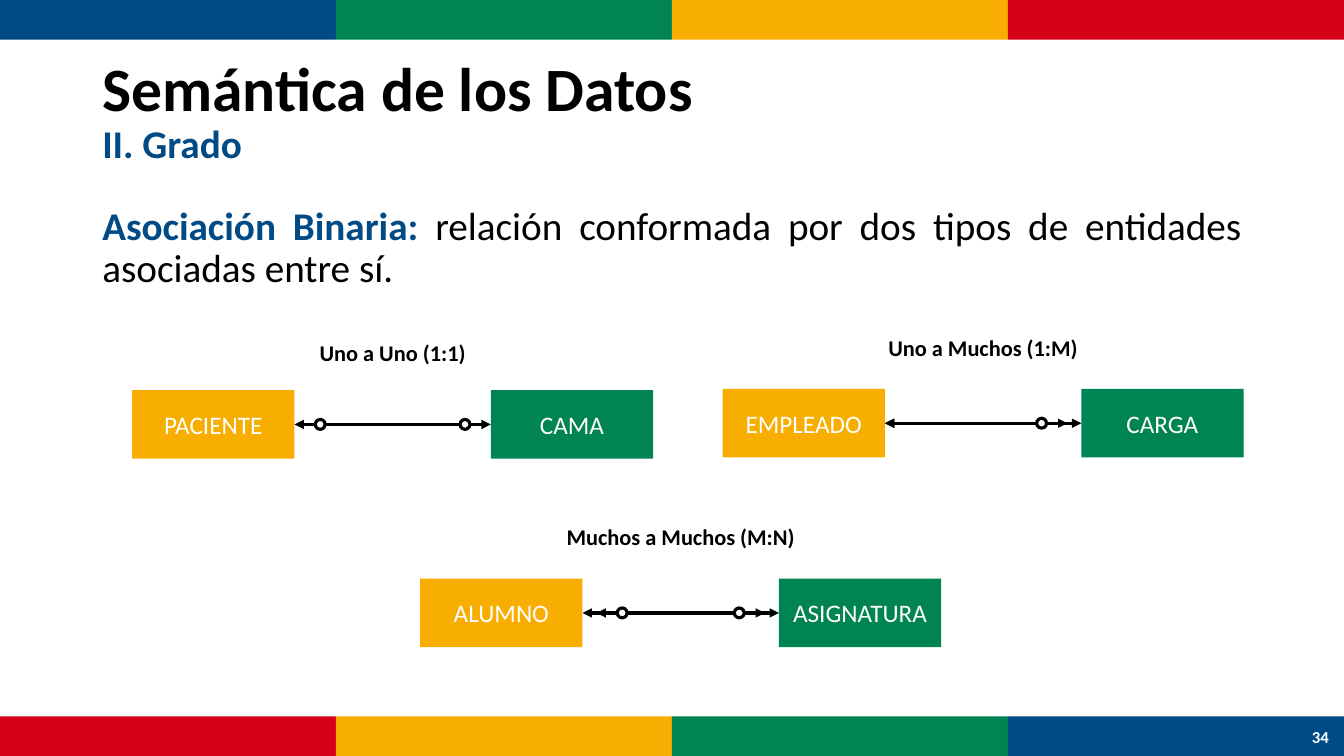
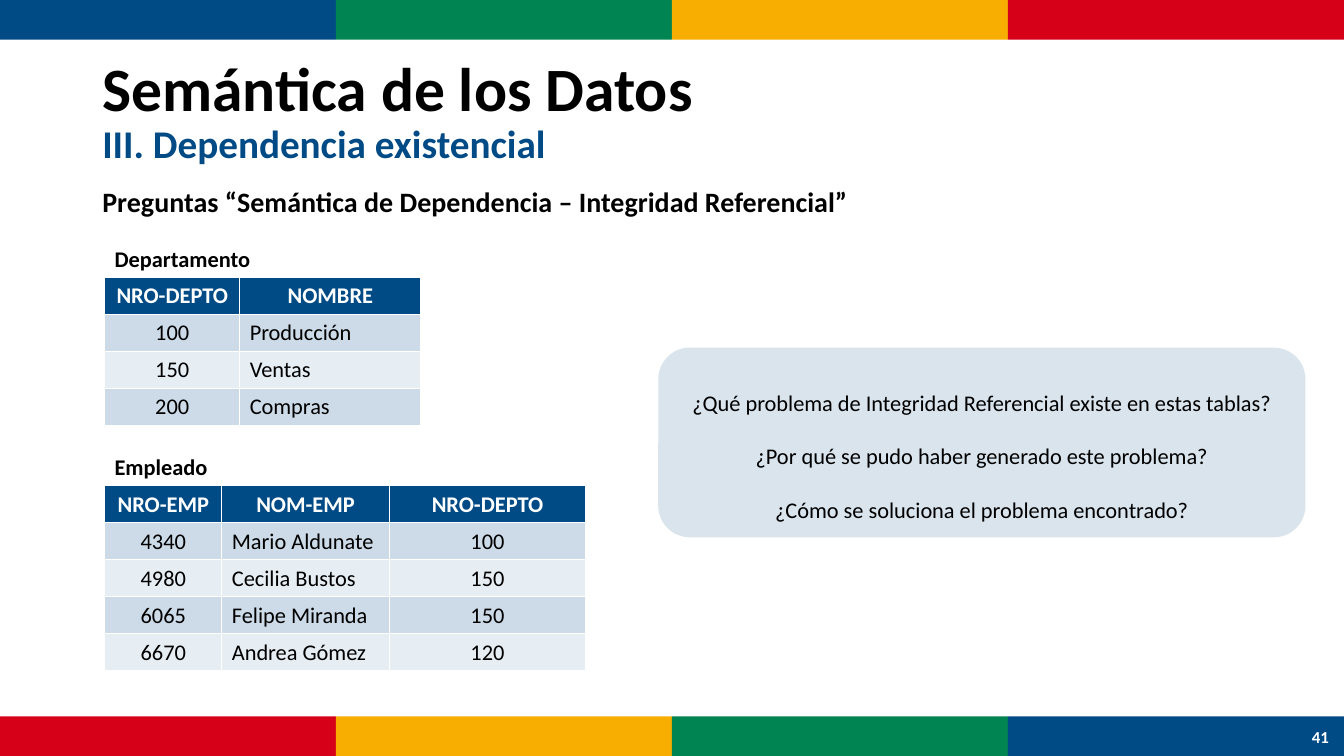
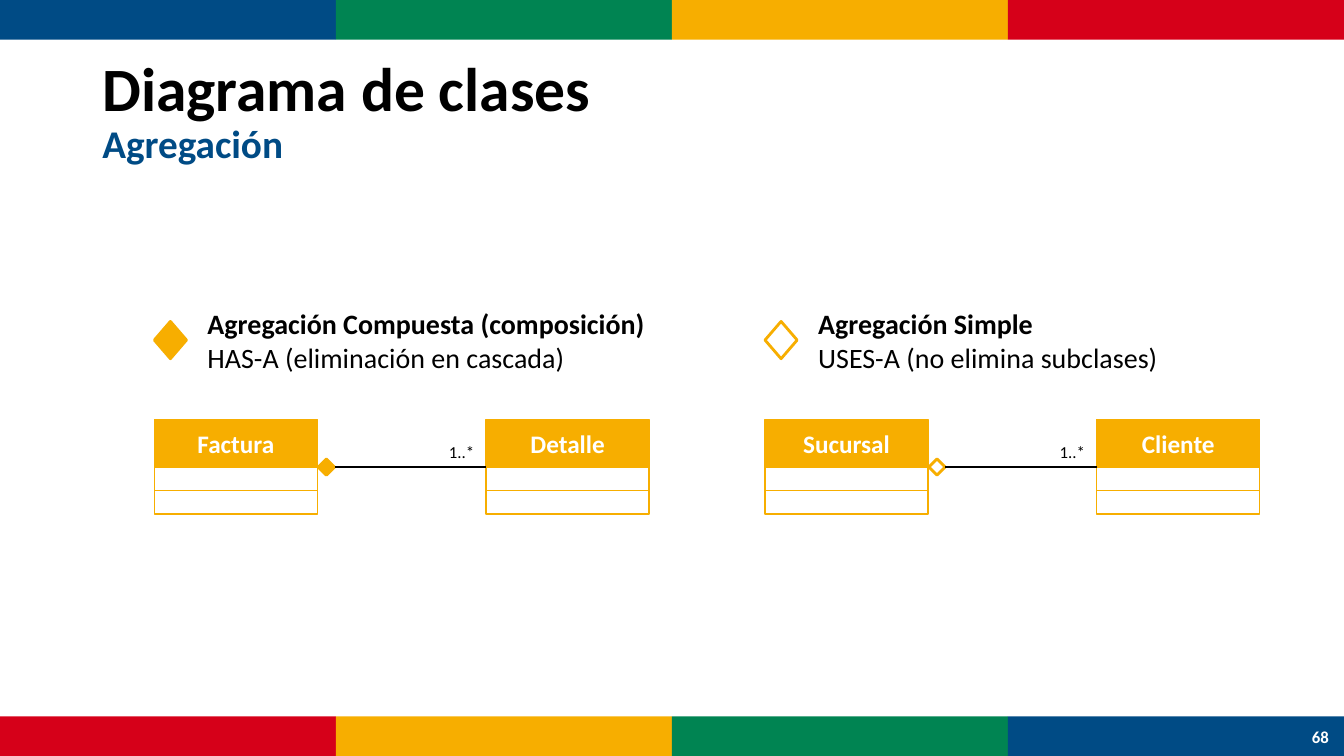
import lxml.etree
import pptx
import pptx.dml.color
import pptx.enum.shapes
import pptx.enum.text
import pptx.oxml.ns
import pptx.util

HUES = {
    "blue": "004B85", "green": "008452", "gold": "F7AE00", "red": "D60019",
    "black": "000000", "white": "FFFFFF",
    "dark": "CCDBE7", "light": "E6EDF3", "panel": "D9E4ED",
}
STYLES = {
    "title": (44, True, "black"),
    "sub": (28, True, "blue"),
    "term": (28, True, "blue"),
    "body": (28, False, "black"),
    "page": (12, True, "white"),
    "head": (20, True, "black"),
    "note": (20, False, "black"),
    "label": (16, True, "black"),
    "cell": (16, False, "black"),
    "top": (16, True, "white"),
    "box": (18, False, "white"),
    "class": (18, True, "white"),
    "count": (12, False, "black"),
}
WIDE, HIGH, BAND = 33.87, 19.05, 1.0
TOP = ["blue", "green", "gold", "red"]

SLIDES = [
    ("Semántica de los Datos", "II. Grado", "34"),
    ("Semántica de los Datos", "III. Dependencia existencial", "41"),
    ("Diagrama de clases", "Agregación", "68"),
]
BINARY = [
    ("Asociación Binaria: ", "term"),
    ("relación conformada por dos tipos de entidades asociadas entre sí.", "body"),
]
PAIRS = [
    {"label": "Uno a Uno (1:1)", "names": ("PACIENTE", "CAMA"), "at": (3.33, 9.83),
     "rise": 1.4, "many": (False, False), "rings": (True, True)},
    {"label": "Uno a Muchos (1:M)", "names": ("EMPLEADO", "CARGA"), "at": (18.21, 9.8),
     "rise": 1.5, "many": (False, True), "rings": (False, True)},
    {"label": "Muchos a Muchos (M:N)", "names": ("ALUMNO", "ASIGNATURA"), "at": (10.59, 14.58),
     "rise": 1.52, "many": (True, True), "rings": (True, True)},
]
PROMPT = "Preguntas “Semántica de Dependencia – Integridad Referencial”"
TABLES = [
    {"name": "Departamento", "y": 6.99, "cols": [3.4, 4.57], "rows": [
        ("NRO-DEPTO", "NOMBRE"),
        ("100", "Producción"),
        ("150", "Ventas"),
        ("200", "Compras")]},
    {"name": "Empleado", "y": 12.24, "cols": [2.95, 4.22, 4.95], "rows": [
        ("NRO-EMP", "NOM-EMP", "NRO-DEPTO"),
        ("4340", "Mario Aldunate", "100"),
        ("4980", "Cecilia Bustos", "150"),
        ("6065", "Felipe Miranda", "150"),
        ("6670", "Andrea Gómez", "120")]},
]
ASKS = [
    "¿Qué problema de Integridad Referencial existe en estas tablas?",
    "¿Por qué se pudo haber generado este problema?",
    "¿Cómo se soluciona el problema encontrado?",
]
MODELS = [
    {"x": 3.89, "fill": "gold", "names": ("Factura", "Detalle"),
     "text": ("Agregación Compuesta (composición)", "HAS-A (eliminación en cascada)")},
    {"x": 19.28, "fill": "white", "names": ("Sucursal", "Cliente"),
     "text": ("Agregación Simple", "USES-A (no elimina subclases)")},
]

KIND = pptx.enum.shapes.MSO_SHAPE
ALIGN = pptx.enum.text.PP_ALIGN
ANCHOR = pptx.enum.text.MSO_ANCHOR


def hue(name):
    return pptx.dml.color.RGBColor.from_string(HUES[name])


def cms(*vals):
    return [pptx.util.Cm(val) for val in vals]


def write(frame, paras, **form):
    for num, runs in enumerate(paras):
        para = frame.paragraphs[0] if num == 0 else frame.add_paragraph()
        for key, val in form.items():
            setattr(para, key, val)
        for text, style in runs:
            run = para.add_run()
            run.text = text
            size, bold, tint = STYLES[style]
            font = {"name": "Calibri", "size": pptx.util.Pt(size), "bold": bold}
            for key, val in font.items():
                setattr(run.font, key, val)
            run.font.color.rgb = hue(tint)


def add_text(slide, at, paras, anchor=ANCHOR.TOP, **form):
    frame = slide.shapes.add_textbox(*cms(*at)).text_frame
    frame.word_wrap = True
    frame.vertical_anchor = anchor
    write(frame, paras, **form)


def add_form(slide, kind, at, fill=None, line=None, width=1, paras=(), **form):
    shape = slide.shapes.add_shape(kind, *cms(*at))
    shape.shadow.inherit = False
    if fill:
        shape.fill.solid()
        shape.fill.fore_color.rgb = hue(fill)
    else:
        shape.fill.background()
    if line:
        shape.line.color.rgb = hue(line)
        shape.line.width = pptx.util.Pt(width)
    else:
        shape.line.fill.background()
    shape.text_frame.vertical_anchor = ANCHOR.MIDDLE
    write(shape.text_frame, paras, alignment=ALIGN.CENTER, **form)
    return shape


def add_line(slide, start, end, width, heads=False):
    line = slide.shapes.add_connector(
        pptx.enum.shapes.MSO_CONNECTOR.STRAIGHT, *cms(*start, *end))
    line.line.color.rgb = hue("black")
    line.line.width = pptx.util.Pt(width)
    if heads:
        for tag in ("a:headEnd", "a:tailEnd"):
            lxml.etree.SubElement(
                line.line._get_or_add_ln(), pptx.oxml.ns.qn(tag), type="triangle")
    lxml.etree.SubElement(line._element.spPr, pptx.oxml.ns.qn("a:effectLst"))
    return line


def add_base(deck, title, sub, page):
    slide = deck.slides.add_slide(deck.slide_layouts[6])
    step = WIDE / len(TOP)
    for y, tints in ((0, TOP), (HIGH - BAND, TOP[::-1])):
        for num, tint in enumerate(tints):
            add_form(slide, KIND.RECTANGLE, (num * step, y, step, BAND), tint)
    add_text(slide, (2.33, 1, 29.21, 3.68), [[(title, "title")], [(sub, "sub")]],
             ANCHOR.MIDDLE, line_spacing=0.9)
    add_text(slide, (32.69, 18.06, 1.17, 1), [[(page, "page")]],
             ANCHOR.MIDDLE, alignment=ALIGN.CENTER)
    return slide


def add_pair(slide, pair):
    x, y = pair["at"]
    wide, high, step, ring = 4.09, 1.73, 9.04, 0.25
    mid = y + high / 2
    left, right = x + wide, x + step
    add_text(slide, (x, y - pair["rise"], step + wide, 0.94),
             [[(pair["label"], "label")]], alignment=ALIGN.CENTER)
    boxes = [
        add_form(slide, KIND.RECTANGLE, (x + num * step, y, wide, high), tint,
                 paras=[[(name, "box")]])
        for num, (name, tint) in enumerate(zip(pair["names"], ("gold", "green")))]
    link = add_line(slide, (left, mid), (right, mid), 2.25, True)
    link.begin_connect(boxes[0], 3)
    link.end_connect(boxes[1], 1)
    if any(pair["many"]):
        near, far = [0.35 * many for many in pair["many"]]
        add_line(slide, (left + near, mid), (right - far, mid), 2.25, True)
    for edge, sign, many, shown in zip((left, right), (1, -1), pair["many"], pair["rings"]):
        if shown:
            spot = edge + sign * (1.0 if many else 0.65)
            add_form(slide, KIND.OVAL, (spot - ring / 2, mid - ring / 2, ring, ring),
                     "white", "black", 2.25)


def add_grid(slide, data):
    x, y, high = 2.64, data["y"], 0.93
    rows, cols = data["rows"], data["cols"]
    add_text(slide, (x, y - 0.94, 7.97, 0.94), [[(data["name"], "label")]])
    grid = slide.shapes.add_table(
        len(rows), len(cols), *cms(x, y, sum(cols), high * len(rows))).table
    for col, wide in zip(grid.columns, cols):
        col.width = pptx.util.Cm(wide)
    for r, row in enumerate(rows):
        for c, text in enumerate(row):
            cell = grid.cell(r, c)
            cell.vertical_anchor = ANCHOR.MIDDLE
            cell.fill.solid()
            cell.fill.fore_color.rgb = hue("blue" if r == 0 else ("light", "dark")[r % 2])
            side = ALIGN.LEFT if r and c == 1 else ALIGN.CENTER
            write(cell.text_frame, [[(text, "cell" if r else "top")]], alignment=side)


def add_model(slide, model):
    x, y, wide, high, row, step, gem = model["x"], 10.57, 4.11, 1.2, 0.59, 8.36, 0.41
    add_form(slide, KIND.DIAMOND, (x, 8.1, 0.81, 0.94), model["fill"], "gold", 2)
    head, note = model["text"]
    add_text(slide, (x + 1.09, 7.37, 12.07, 2.41), [[(head, "head")], [(note, "note")]],
             ANCHOR.MIDDLE)
    for num, name in enumerate(model["names"]):
        left = x + num * step
        add_form(slide, KIND.RECTANGLE, (left, y, wide, high), "gold", "gold",
                 paras=[[(name, "class")]])
        for part in range(2):
            add_form(slide, KIND.RECTANGLE, (left, y + high + part * row, wide, row),
                     line="gold")
    mid = y + high
    add_text(slide, (x + 7.16, 11, 1.17, 0.76), [[("1..*", "count")]],
             ANCHOR.MIDDLE, alignment=ALIGN.CENTER)
    knot = add_form(slide, KIND.DIAMOND, (x + wide + 0.02, mid - gem / 2, gem, gem),
                    model["fill"], "gold", 2)
    link = add_line(slide, (x + wide + gem, mid), (x + step, mid), 1)
    link.begin_connect(knot, 3)


def main():
    deck = pptx.Presentation()
    deck.slide_width, deck.slide_height = cms(WIDE, HIGH)
    degree, depend, classes = [add_base(deck, *item) for item in SLIDES]

    add_text(degree, (2.33, 5.08, 29.21, 2.6), [BINARY],
             alignment=ALIGN.JUSTIFY, line_spacing=0.9)
    for pair in PAIRS:
        add_pair(degree, pair)

    add_text(depend, (2.33, 4.52, 23.22, 1.12), [[(PROMPT, "head")]])
    for data in TABLES:
        add_grid(depend, data)
    add_form(depend, KIND.ROUNDED_RECTANGLE, (16.59, 8.76, 16.31, 4.78), "panel",
             paras=[[(ask, "cell")] for ask in ASKS], line_spacing=2.0)

    for model in MODELS:
        add_model(classes, model)
    deck.save("out.pptx")


if __name__ == "__main__":
    main()
